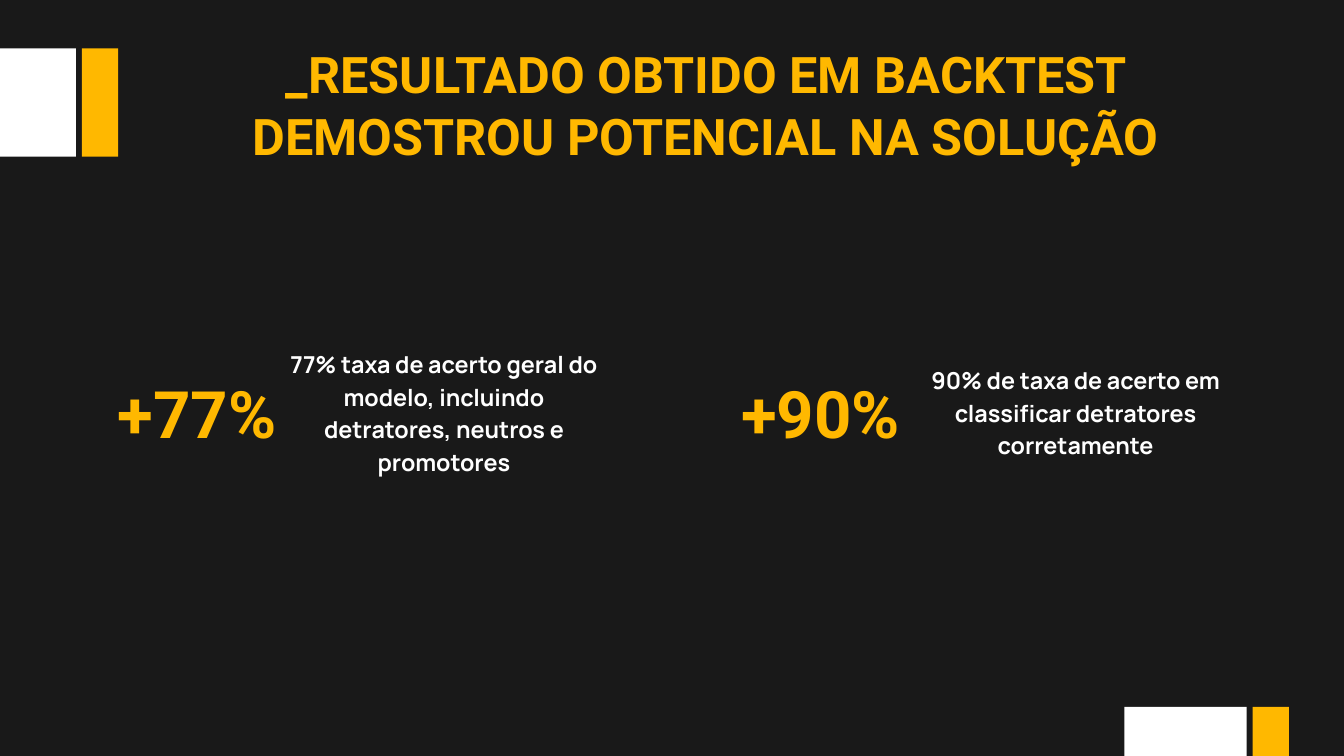
import pptx
import pptx.dml.color
import pptx.enum.shapes
import pptx.enum.text
import pptx.util

IN = pptx.util.Inches
PT = pptx.util.Pt
W, H = 20, 11.25
DARK, WHITE, AMBER = "191919", "FFFFFF", "FFB800"


def color(fmt, value):
    fmt.rgb = pptx.dml.color.RGBColor.from_string(value)


def write(sp, box, text, font, size, line, value, align):
    """Place a text shape and set its single paragraph."""
    sp.left, sp.top, sp.width, sp.height = map(IN, box)
    tf = sp.text_frame
    tf.word_wrap = True
    tf.auto_size = pptx.enum.text.MSO_AUTO_SIZE.NONE
    tf.vertical_anchor = pptx.enum.text.MSO_ANCHOR.TOP
    tf.margin_left = tf.margin_top = tf.margin_right = tf.margin_bottom = 0
    tf.text = text
    p = tf.paragraphs[0]
    p.alignment = align
    p.line_spacing = PT(line)
    p.space_before = PT(0)
    r = p.runs[0]
    r.font.name, r.font.size, r.font.bold = font, PT(size), True
    color(r.font.color, value)


prs = pptx.Presentation()
prs.slide_width, prs.slide_height = IN(W), IN(H)
s = prs.slides.add_slide(prs.slide_layouts[5])
s.background.fill.solid()
color(s.background.fill.fore_color, DARK)

LEFT = pptx.enum.text.PP_ALIGN.LEFT
CENTER = pptx.enum.text.PP_ALIGN.CENTER

# Corner blocks: a white square and an amber bar that bleed off the edges
block, bar, gap = 1.82, 0.54, 0.09
for x, y in ((-0.69, 0.72), (16.73, 10.52)):
    for left, width, value in ((x, block, WHITE), (x + block + gap, bar, AMBER)):
        sp = s.shapes.add_shape(pptx.enum.shapes.MSO_SHAPE.RECTANGLE,
                                IN(left), IN(y), IN(width), IN(1.61))
        sp.shadow.inherit = False
        sp.fill.solid()
        color(sp.fill.fore_color, value)
        sp.line.fill.background()

write(s.shapes.title, (2.7, 0.63, 15.61, 1.8),
      "_RESULTADO OBTIDO EM BACKTEST DEMOSTROU POTENCIAL NA SOLUÇÃO",
      "Roboto", 54, 65.9, AMBER, CENTER)

# Results: a large figure with its explanation, centred on one row
row_mid = 6.1
results = (
    (1.75, 2.55, "+77%", 4,
     "77% taxa de acerto geral do modelo, incluindo detratores, neutros e promotores"),
    (11.03, 2.67, "+90%", 3,
     "90% de taxa de acerto em classificar detratores corretamente"),
)
for x, width, figure, lines, text in results:
    sp = s.shapes.add_textbox(0, 0, 0, 0)
    write(sp, (x, row_mid - 0.57, width, 1.18), figure,
          "Roboto", 70, 85.4, AMBER, LEFT)
    height = lines * 0.48
    sp = s.shapes.add_textbox(0, 0, 0, 0)
    write(sp, (x + width, row_mid - height / 2, 4.61, height), text,
          "Manrope", 25, 35, WHITE, CENTER)

prs.save("out.pptx")
